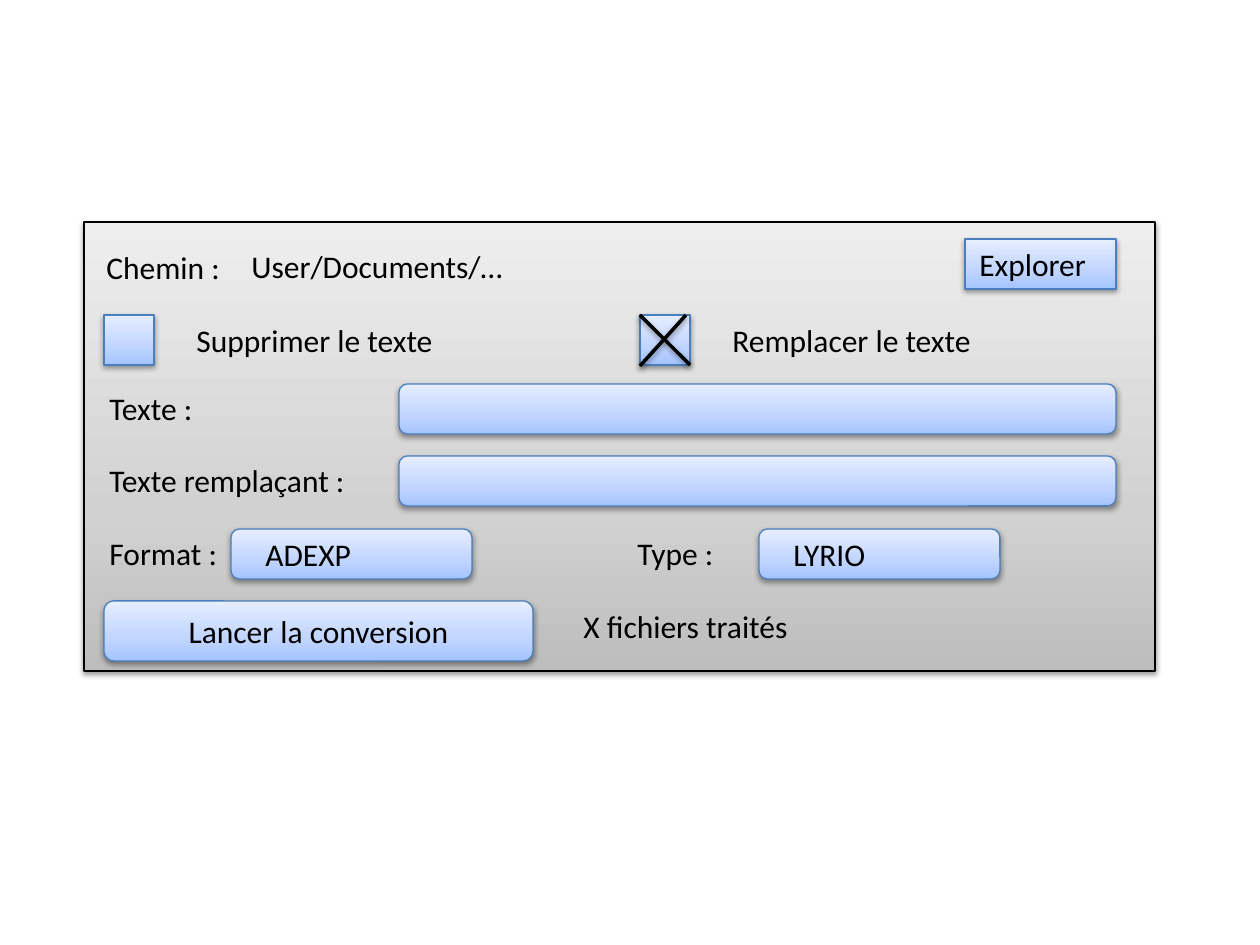
import pptx
import pptx.util
import pptx.dml.color
import pptx.enum.shapes
import pptx.enum.text
import pptx.oxml
import pptx.oxml.ns

SCALE = 914400 / 126
NS = pptx.oxml.ns.nsdecls("a")
SHAPE = pptx.enum.shapes.MSO_SHAPE
ALIGN = pptx.enum.text.PP_ALIGN


def px(n):
    return pptx.util.Emu(round(n * SCALE))


def color(value):
    return pptx.dml.color.RGBColor.from_string(value)


class Form:
    font = {"name": "Calibri", "size": pptx.util.Pt(18)}
    ink = "000000"
    blue = ("A4C4FF", "BFD4FF", "E6EEFF")
    gray = ("BDBDBD", "D1D1D1", "EEEEEE")
    edge = "4B7EBC"

    def __init__(self, prs):
        self.s = prs.slides.add_slide(prs.slide_layouts[6])

    def set_text(self, tf, text, align):
        p = tf.paragraphs[0]
        p.alignment = align
        r = p.add_run()
        r.text = text
        for key, value in self.font.items():
            setattr(r.font, key, value)
        r.font.color.rgb = color(self.ink)

    def shadow(self, sp):
        sp._element.spPr.append(pptx.oxml.parse_xml(
            f'<a:effectLst {NS}><a:outerShdw blurRad="40000" dist="20000" dir="5400000" '
            'rotWithShape="0"><a:srgbClr val="000000"><a:alpha val="38000"/></a:srgbClr>'
            '</a:outerShdw></a:effectLst>'))

    def box(self, x, y, w, h, kind=SHAPE.RECTANGLE, stops=blue, edge=edge, text=None):
        sp = self.s.shapes.add_shape(kind, px(x), px(y), px(w), px(h))
        sp.line.color.rgb = color(edge)
        sp.line.width = pptx.util.Pt(0.75)
        marks = "".join(f'<a:gs pos="{pos}"><a:srgbClr val="{c}"/></a:gs>'
                        for pos, c in zip((0, 35000, 100000), stops))
        sp._element.spPr.insert(2, pptx.oxml.parse_xml(
            f'<a:gradFill {NS} rotWithShape="1"><a:gsLst>{marks}</a:gsLst>'
            '<a:lin ang="16200000" scaled="0"/></a:gradFill>'))
        self.shadow(sp)
        if text:
            sp.text_frame.vertical_anchor = pptx.enum.text.MSO_ANCHOR.MIDDLE
            self.set_text(sp.text_frame, text, ALIGN.CENTER)

    def label(self, text, x, y, w):
        tf = self.s.shapes.add_textbox(px(x), px(y), px(w), px(51)).text_frame
        tf.word_wrap = True
        tf.auto_size = pptx.enum.text.MSO_AUTO_SIZE.SHAPE_TO_FIT_TEXT
        self.set_text(tf, text, ALIGN.LEFT)

    def stroke(self, x1, y1, x2, y2):
        line = self.s.shapes.add_connector(
            pptx.enum.shapes.MSO_CONNECTOR.STRAIGHT, px(x1), px(y1), px(x2), px(y2))
        line.line.color.rgb = color(self.ink)
        line.line.width = pptx.util.Pt(2)
        self.shadow(line)


prs = pptx.Presentation()
prs.slide_width, prs.slide_height = px(1260), px(945)
form = Form(prs)
ROUND = SHAPE.ROUNDED_RECTANGLE

form.box(84, 222, 1071, 449, stops=form.gray, edge=form.ink)

form.label("Chemin :", 94, 242, 248)
form.label("User/Documents/…", 239, 241, 798)
form.box(965, 239, 151, 50)
form.label("Explorer", 967, 239, 149)

for x, text in ((104, "Supprimer le texte"), (640, "Remplacer le texte")):
    form.box(x, 315, 50, 50)
    form.label(text, x + 80, 315, 397)
form.stroke(640, 315, 690, 365)
form.stroke(686, 315, 640, 366)

for y, text in ((384, "Texte :"), (456, "Texte remplaçant :")):
    form.label(text, 97, y - 1, 285)
    form.box(399, y, 717, 50, ROUND)

for label_x, field_x, text, value in ((97, 231, "Format :", "ADEXP"),
                                      (625, 759, "Type :", "LYRIO")):
    form.label(text, label_x, 528, 285)
    form.box(field_x, 529, 241, 50, ROUND)
    form.label(value, field_x + 22, 529, 318)

form.box(104, 601, 429, 60, ROUND, text="Lancer la conversion")
form.label("X fichiers traités", 571, 601, 546)

prs.save("out.pptx")
